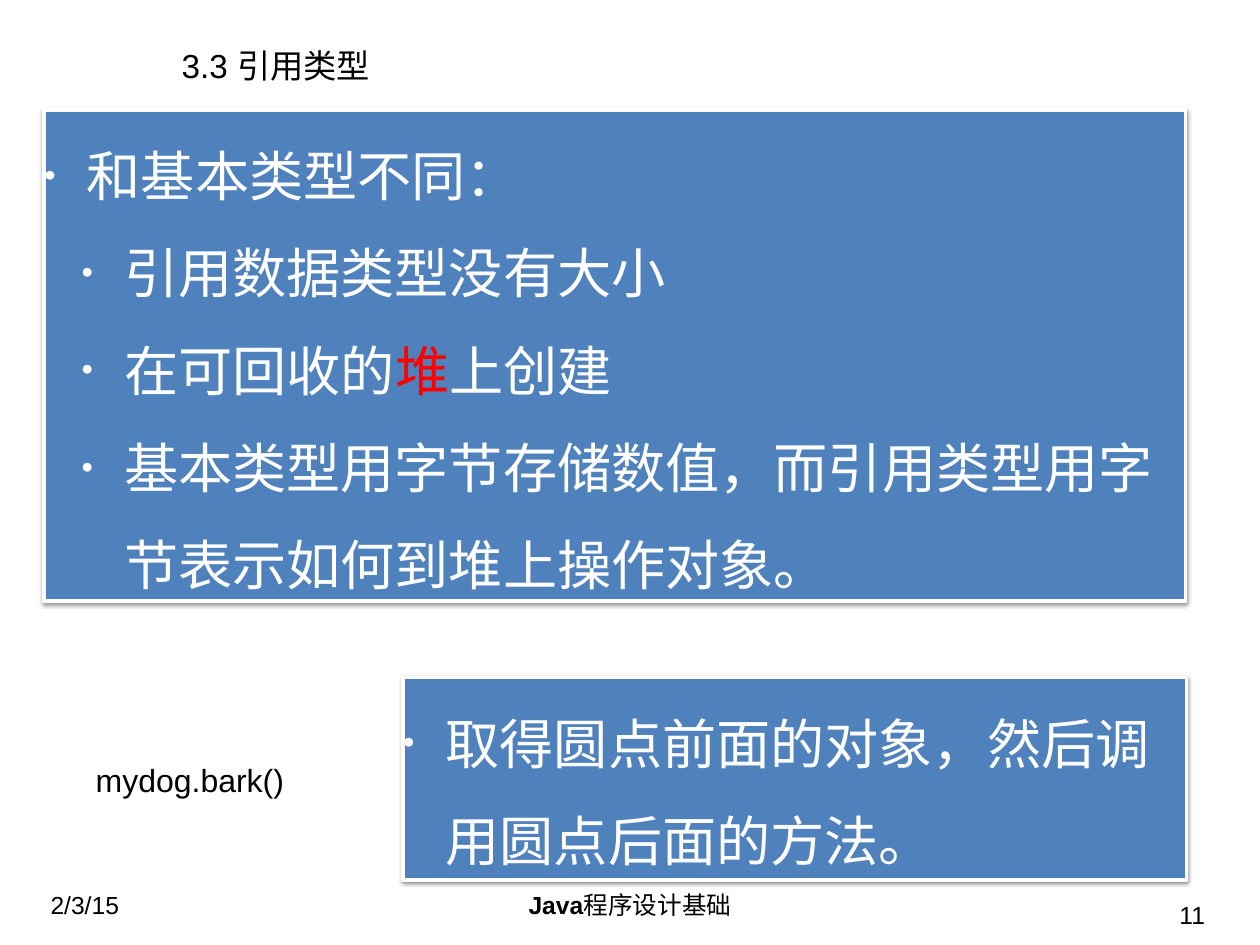
from lxml import etree
from pptx import Presentation
from pptx.dml.color import RGBColor
from pptx.enum.shapes import MSO_SHAPE
from pptx.enum.text import MSO_ANCHOR, MSO_AUTO_SIZE, PP_ALIGN
from pptx.oxml.ns import qn
from pptx.util import Pt

PX = 9144
SLIDE_SIZE = (1422, 1067)
TITLE_ONLY = 5
LATIN = "Arial"
CJK = "Noto Sans CJK SC"
BLACK = RGBColor(0, 0, 0)
WHITE = RGBColor(255, 255, 255)
RED = RGBColor(255, 0, 0)
BLUE = RGBColor(79, 129, 189)
RECTANGLE = MSO_SHAPE.RECTANGLE
TOP, MIDDLE = MSO_ANCHOR.TOP, MSO_ANCHOR.MIDDLE
LEFT, CENTER, RIGHT = PP_ALIGN.LEFT, PP_ALIGN.CENTER, PP_ALIGN.RIGHT
FIXED, GROW = MSO_AUTO_SIZE.NONE, MSO_AUTO_SIZE.SHAPE_TO_FIT_TEXT
HANGING = 48
LEVEL_INDENTS = (48, 90)


def emu(box):
    """Turn a box in px into EMU lengths."""
    return [length * PX for length in box]


def add_span(para, text, size=20, font=LATIN, color=BLACK, bold=False):
    """Append formatted text to a paragraph."""
    span = para.add_run()
    span.text = text
    span.font.size = Pt(size)
    span.font.name = font
    span.font.bold = bold
    span.font.color.rgb = color
    east_asian = etree.SubElement(span.font._element, qn("a:ea"))
    east_asian.set("typeface", CJK)


def set_frame(frame, inset=0, wrap=True, anchor=TOP, fit=GROW):
    """Set the margins and fitting of a text frame."""
    frame.margin_left = frame.margin_right = inset * PX
    frame.margin_top = frame.margin_bottom = inset * PX
    frame.word_wrap = wrap
    frame.vertical_anchor = anchor
    frame.auto_size = fit


def add_label(page, box, align=LEFT, inset=7, wrap=True):
    """Add a text box and return its first paragraph."""
    frame = page.shapes.add_textbox(*emu(box)).text_frame
    set_frame(frame, inset, wrap)
    para = frame.paragraphs[0]
    para.alignment = align
    return para


def add_title(page, box, text):
    """Place the title placeholder and fill it."""
    title = page.shapes.title
    title.left, title.top, title.width, title.height = emu(box)
    set_frame(title.text_frame, anchor=MIDDLE, fit=FIXED)
    para = title.text_frame.paragraphs[0]
    para.alignment = LEFT
    add_span(para, text, size=27)


def set_bullet(para, level):
    """Give a paragraph a hanging bullet at its level."""
    para.level = level
    para.alignment = LEFT
    para.line_spacing = 1.5
    properties = para._p.get_or_add_pPr()
    properties.set("marL", str(LEVEL_INDENTS[level] * PX))
    properties.set("indent", str(-HANGING * PX))
    for tag, name, value in (("a:buSzPct", "val", "60000"),
                             ("a:buFont", "typeface", LATIN),
                             ("a:buChar", "char", "•")):
        etree.SubElement(properties, qn(tag)).set(name, value)


def add_shadow(shape):
    """Give a shape a soft shadow straight below it."""
    shape.shadow.inherit = False
    effects = shape._element.spPr.find(qn("a:effectLst"))
    shadow = etree.SubElement(effects, qn("a:outerShdw"), blurRad="38100",
                              dist="20320", dir="5400000", rotWithShape="0")
    color = etree.SubElement(shadow, qn("a:srgbClr"), val="000000")
    etree.SubElement(color, qn("a:alpha"), val="38000")


def add_panel(page, box, points):
    """Add a blue panel of (level, spans) bullet points."""
    panel = page.shapes.add_shape(RECTANGLE, *emu(box))
    panel.fill.solid()
    panel.fill.fore_color.rgb = BLUE
    panel.line.color.rgb = WHITE
    panel.line.width = Pt(3)
    add_shadow(panel)
    frame = panel.text_frame
    set_frame(frame)
    for number, (level, spans) in enumerate(points):
        para = frame.add_paragraph() if number else frame.paragraphs[0]
        set_bullet(para, level)
        for text, color in spans:
            add_span(para, text, size=44, font=CJK, color=color)


def add_footer(page, box):
    """Add the date, course name and page number across a box."""
    left, top, width, height = box
    side = 332
    add_span(add_label(page, (left, top, side, height)), "2/3/15")
    course = add_label(page, (left + 436, top, 450, 53), CENTER)
    add_span(course, "Java", bold=True)
    add_span(course, "程序设计基础", font=CJK)
    number_box = (left + width - side, top + 11, side, height)
    add_span(add_label(page, number_box, RIGHT), "11")


def build_slide(deck):
    """Build the reference types slide."""
    page = deck.slides.add_slide(deck.slide_layouts[TITLE_ONLY])
    add_title(page, (205, 45, 1183, 57), "3.3 引用类型")
    add_footer(page, (50, 998, 1317, 45))
    add_panel(page, (50, 124, 1288, 555), [
        (0, [("和基本类型不同：", WHITE)]),
        (1, [("引用数据类型没有大小", WHITE)]),
        (1, [("在可回收的", WHITE), ("堆", RED), ("上创建", WHITE)]),
        (1, [("基本类型用字节存储数值，而引用类型用字节表示如何到堆上操作对象。", WHITE)]),
    ])
    call = add_label(page, (103, 854, 224, 52), inset=5, wrap=False)
    add_span(call, "mydog.bark()", size=26)
    add_panel(page, (455, 765, 884, 229), [
        (0, [("取得圆点前面的对象，然后调用圆点后面的方法。", WHITE)]),
    ])


def main():
    """Create and save the deck."""
    deck = Presentation()
    deck.slide_width, deck.slide_height = emu(SLIDE_SIZE)
    build_slide(deck)
    deck.save("out.pptx")


if __name__ == "__main__":
    main()
